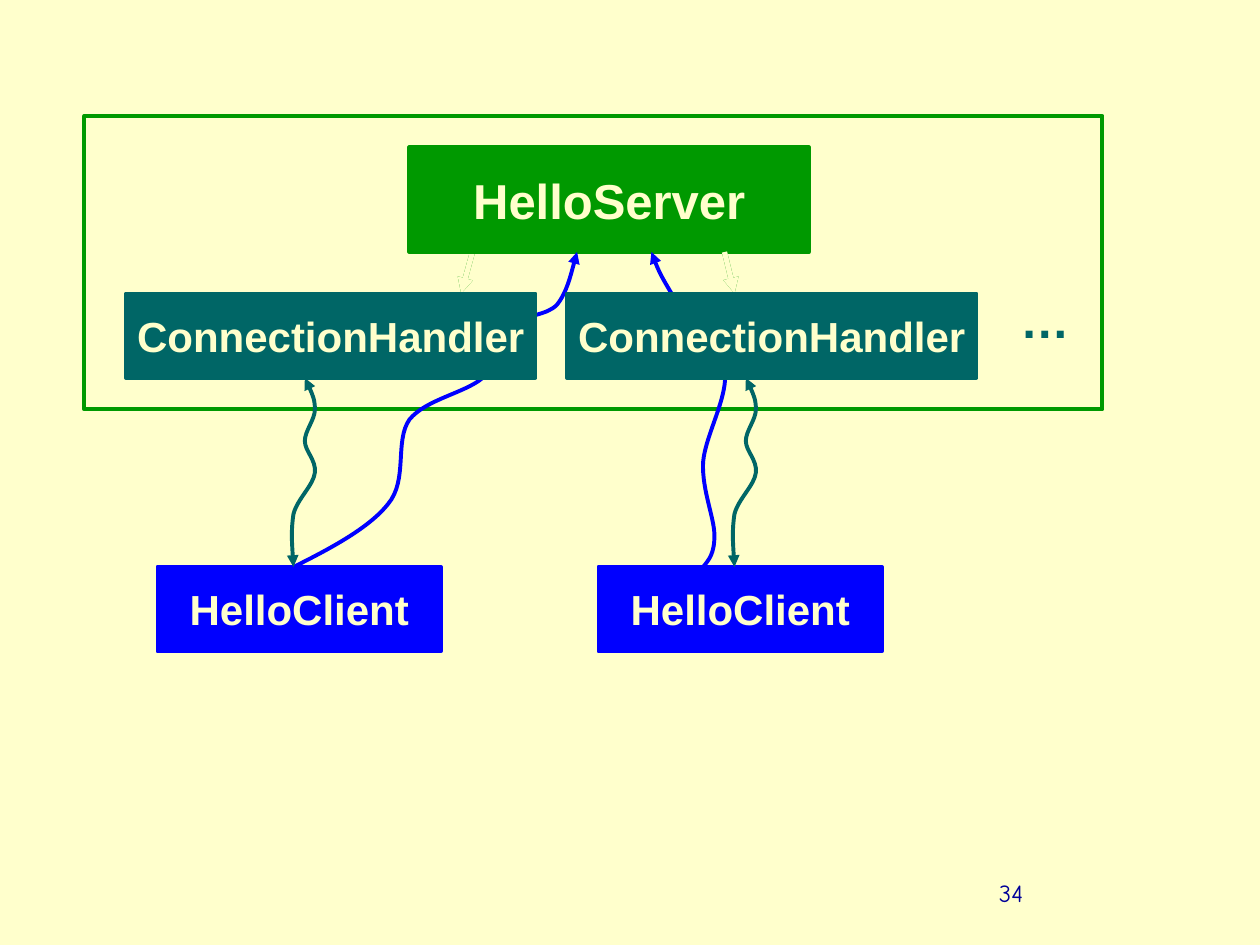
import itertools
from dataclasses import dataclass

import lxml.etree as etree
import pptx
import pptx.util
from pptx.dml.color import RGBColor
from pptx.enum.shapes import MSO_CONNECTOR, MSO_SHAPE
from pptx.enum.text import MSO_ANCHOR, MSO_AUTO_SIZE, PP_ALIGN
from pptx.oxml.ns import qn

Inches, Pt = pptx.util.Inches, pptx.util.Pt


@dataclass(frozen=True)
class Theme:
    cream: str = "FFFFCC"
    green: str = "009900"
    teal: str = "006666"
    blue: str = "0000FF"
    navy: str = "000099"
    font: str = "Arial"
    number_font: str = "Comic Neue"
    large: int = 28
    medium: int = 24
    small: int = 14
    line: float = 2.25
    spawn_line: float = 3


T = Theme()

# Curves in inches from a column's left edge and the handlers' bottom edge:
# a start point, then two control points and an end point per segment
SESSION = [(1.42, 0), (1.46, .08), (1.5, .17), (1.5, .25),
           (1.5, .33), (1.42, .42), (1.42, .5),
           (1.42, .58), (1.51, .65), (1.5, .75),
           (1.49, .85), (1.36, .96), (1.33, 1.08),
           (1.31, 1.21), (1.32, 1.35), (1.33, 1.5)]
LEFT_REQUEST = [(1.33, 1.5), (1.63, 1.35), (1.93, 1.19), (2.08, 1),
                (2.24, .81), (2.13, .5), (2.25, .33),
                (2.38, .17), (2.69, .12), (2.83, 0),
                (2.97, -.12), (2.99, -.32), (3.08, -.42),
                (3.18, -.51), (3.33, -.49), (3.42, -.58),
                (3.5, -.68), (3.56, -.93), (3.58, -1)]
RIGHT_REQUEST = [(1.08, 1.5), (1.13, 1.44), (1.17, 1.39), (1.17, 1.25),
                 (1.17, 1.11), (1.07, .89), (1.08, .67),
                 (1.1, .44), (1.29, .14), (1.25, -.08),
                 (1.21, -.31), (.93, -.51), (.83, -.67),
                 (.74, -.82), (.7, -.91), (.67, -1)]


def set_line(sp, color, width, ends=()):
    sp.line.color.rgb = RGBColor.from_string(color)
    sp.line.width = Pt(width)
    for end in ends:
        etree.SubElement(sp.line._get_or_add_ln(), qn(f"a:{end}"), type="triangle")


def write(tf, text, size, color, font=T.font, bold=True, align=PP_ALIGN.CENTER):
    p = tf.paragraphs[0]
    p.alignment = align
    r = p.add_run()
    r.text = text
    for name, value in {"size": Pt(size), "name": font, "bold": bold}.items():
        setattr(r.font, name, value)
    r.font.color.rgb = RGBColor.from_string(color)
    return p


def add_box(s, box, line, fill=None, text=None, size=T.medium):
    sp = s.shapes.add_shape(MSO_SHAPE.RECTANGLE, *map(Inches, box))
    sp.shadow.inherit = False
    set_line(sp, line, T.line)
    if fill:
        sp.fill.solid()
        sp.fill.fore_color.rgb = RGBColor.from_string(fill)
    else:
        sp.fill.background()
    if text:
        tf = sp.text_frame
        tf.word_wrap = False
        tf.vertical_anchor = MSO_ANCHOR.MIDDLE
        write(tf, text, size, T.cream)


def add_curve(s, left, top, points, color, ends):
    pts = [(Inches(left + x), Inches(top + y)) for x, y in points]
    fb = s.shapes.build_freeform(*pts[0])
    fb.add_line_segments(pts[1:], close=False)
    sp = fb.convert_to_shape()
    # Join each three straight segments into one cubic curve
    segments = list(sp._element.iter(qn("a:lnTo")))
    for first, second, third in itertools.batched(segments, 3) if hasattr(
            itertools, "batched") else zip(*[iter(segments)] * 3):
        first.tag = qn("a:cubicBezTo")
        for seg in (second, third):
            first.append(seg[0])
            seg.getparent().remove(seg)
    sp.shadow.inherit = False
    sp.fill.background()
    set_line(sp, color, T.line, ends)


def add_spawn_arrow(s, start, end):
    """Light arrow over a green one, from the server to a new handler."""
    for color in (T.green, T.cream):
        cx = s.shapes.add_connector(MSO_CONNECTOR.STRAIGHT, *map(Inches, start + end))
        set_line(cx, color, T.spawn_line, ["tailEnd"])
        etree.SubElement(cx._element.spPr, qn("a:effectLst"))


def add_server(s, left, top, width, height):
    """Server process: its frame, the listener and the arrows to handlers."""
    add_box(s, (left, top, width, height), T.green)
    bottom, handler_top = top + 1.08, top + 1.41
    add_spawn_arrow(s, (left + 3.08, bottom), (left + 2.99, handler_top))
    add_box(s, (left + 2.58, top + .25, 3.17, .83), T.green, T.green,
            "HelloServer", T.large)
    add_spawn_arrow(s, (left + 5.08, bottom), (left + 5.16, handler_top))


def add_connection(s, left, top, request):
    """One client with its request, its handler and their session."""
    bottom = top + .67
    add_box(s, (left + .25, top + 2.17, 2.25, .67), T.blue, T.blue, "HelloClient")
    add_curve(s, left, bottom, request, T.blue, ["tailEnd"])
    add_box(s, (left, top, 3.25, .67), T.teal, T.teal, "ConnectionHandler")
    add_curve(s, left, bottom, SESSION, T.teal, ["headEnd", "tailEnd"])


def add_label(s, box, text, size, color, **style):
    tf = s.shapes.add_textbox(*map(Inches, box)).text_frame
    tf.word_wrap = True
    return tf, write(tf, text, size, color, **style)


def main():
    prs = pptx.Presentation()
    prs.slide_width, prs.slide_height = Inches(10), Inches(7.5)
    s = prs.slides.add_slide(prs.slide_layouts[6])
    s.background.fill.solid()
    s.background.fill.fore_color.rgb = RGBColor.from_string(T.cream)

    # Server, then one column per client
    add_server(s, .67, .92, 8.08, 2.33)
    for i, request in enumerate((LEFT_REQUEST, RIGHT_REQUEST)):
        add_connection(s, 1 + 3.5 * i, 2.33, request)

    # Further handlers
    tf, p = add_label(s, (8, 2.25, .58, .57), "…", T.large, T.teal)
    tf.auto_size = MSO_AUTO_SIZE.SHAPE_TO_FIT_TEXT
    p.space_before = Pt(17.5)

    # Slide number
    add_label(s, (7.83, 6.92, 2.08, .5), "34", T.small, T.navy,
              font=T.number_font, bold=False, align=PP_ALIGN.LEFT)
    prs.save("out.pptx")


if __name__ == "__main__":
    main()
